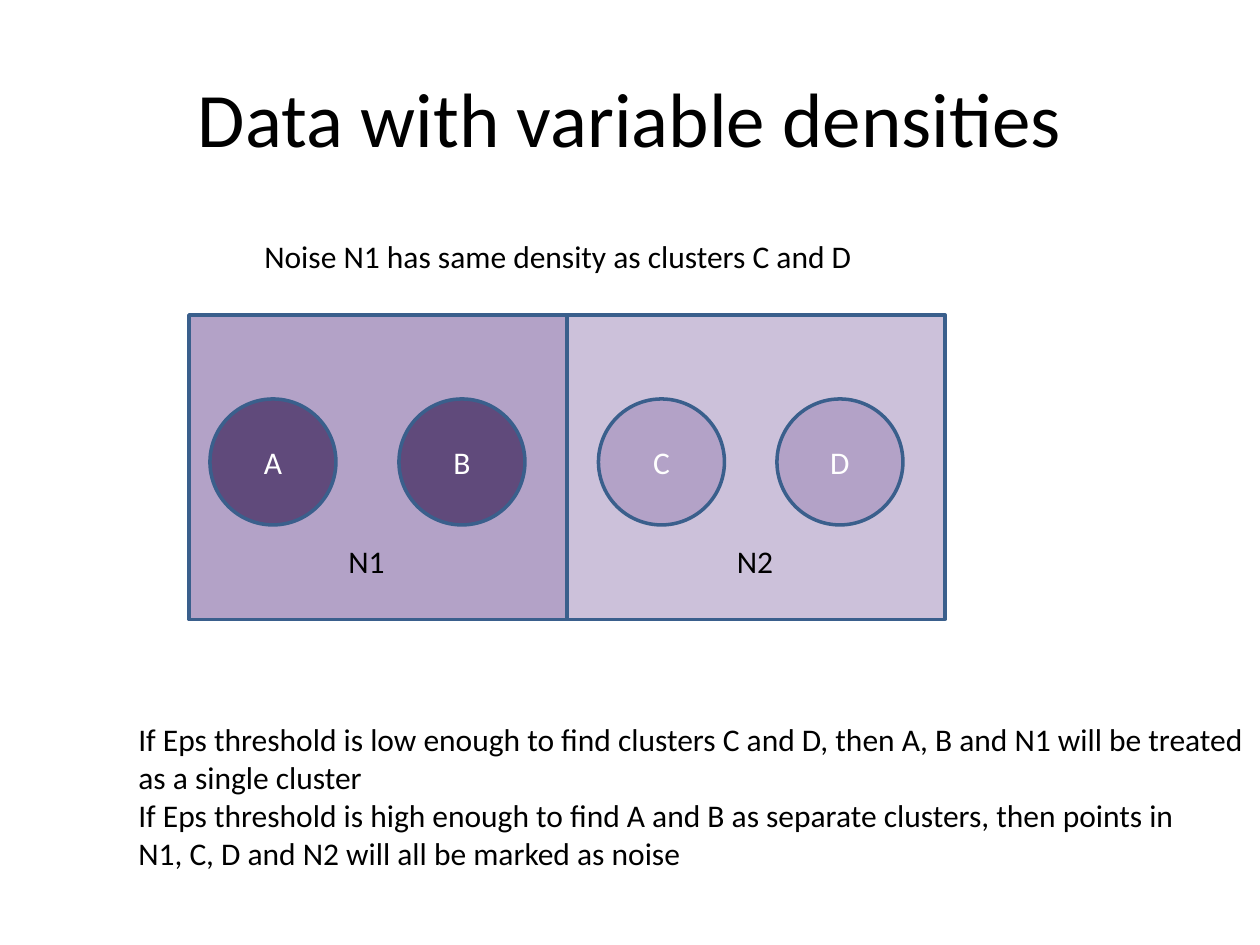
from dataclasses import dataclass

from pptx import Presentation, util as u
from pptx.dml.color import RGBColor
from pptx.enum import shapes, text

COLUMNS, ROWS = 120, 90
CELL = u.Inches(10) // COLUMNS


@dataclass(frozen=True)
class Theme:
    """Colours, font and type sizes of the slide."""
    font: str = "Calibri"
    title_size: int = 44
    body_size: int = 18
    ink: str = "000000"
    light_ink: str = "FFFFFF"
    dense: str = "604A7B"
    medium: str = "B3A2C7"
    sparse: str = "CCC1DA"
    outline: str = "3A5F8C"
    outline_width: int = 2


THEME = Theme()


def grid(*cells):
    """Turn column and row counts into lengths."""
    return [round(cell * CELL) for cell in cells]


def write(shape, lines, size=THEME.body_size, color=THEME.ink,
          align=text.PP_ALIGN.LEFT, anchor=text.MSO_ANCHOR.TOP, wrap=False):
    """Fill a shape with one paragraph per line."""
    frame = shape.text_frame
    frame.word_wrap = wrap
    frame.vertical_anchor = anchor
    frame.text = lines
    for paragraph in frame.paragraphs:
        paragraph.alignment = align
        font = paragraph.runs[0].font
        font.name = THEME.font
        font.size = u.Pt(size)
        font.color.rgb = RGBColor.from_string(color)


def add_label(slide, lines, column, row, width, height, **style):
    """Add a text box at a grid position."""
    box = slide.shapes.add_textbox(*grid(column, row, width, height))
    write(box, lines, **style)
    if not style.get("wrap"):
        box.text_frame.auto_size = text.MSO_AUTO_SIZE.SHAPE_TO_FIT_TEXT


def add_figure(group, kind, column, row, width, height, fill):
    """Add an outlined, filled shape to the diagram."""
    shape = group.shapes.add_shape(kind, *grid(column, row, width, height))
    shape.shadow.inherit = False
    shape.fill.solid()
    shape.fill.fore_color.rgb = RGBColor.from_string(fill)
    shape.line.color.rgb = RGBColor.from_string(THEME.outline)
    shape.line.width = u.Pt(THEME.outline_width)
    return shape


def add_region(group, column, fill, cluster_fill, clusters):
    """Add a noise region and the clusters inside it."""
    add_figure(group, shapes.MSO_SHAPE.RECTANGLE, column, 30, 36, 29, fill)
    for name, cluster_column in clusters.items():
        circle = add_figure(group, shapes.MSO_SHAPE.OVAL,
                            cluster_column, 38, 12, 12, cluster_fill)
        write(circle, name, color=THEME.light_ink, wrap=True,
              align=text.PP_ALIGN.CENTER, anchor=text.MSO_ANCHOR.MIDDLE)


def main():
    """Build and save the slide."""
    presentation = Presentation()
    presentation.slide_width, presentation.slide_height = grid(COLUMNS, ROWS)
    slide = presentation.slides.add_slide(presentation.slide_layouts[6])

    add_label(slide, "Data with variable densities", 6, 3.6, 108, 15,
              size=THEME.title_size, wrap=True,
              align=text.PP_ALIGN.CENTER, anchor=text.MSO_ANCHOR.MIDDLE)

    diagram = slide.shapes.add_group_shape()
    add_region(diagram, 18, THEME.medium, THEME.dense, {"A": 20, "B": 38})
    add_region(diagram, 54, THEME.sparse, THEME.medium, {"C": 57, "D": 74})
    for name, column in {"N1": 32, "N2": 69}.items():
        add_label(diagram, name, column, 51, 5.9, 4.8)

    add_label(slide, "Noise N1 has same density as clusters C and D",
              24, 22, 59, 4.8)
    add_label(slide, "\n".join((
        "If Eps threshold is low enough to find clusters C and D, "
        "then A, B and N1 will be treated",
        "as a single cluster",
        "If Eps threshold is high enough to find A and B as separate clusters, "
        "then points in",
        "N1, C, D and N2 will all be marked as noise",
    )), 12, 68, 109.7, 15.7)

    presentation.save("out.pptx")


if __name__ == "__main__":
    main()
